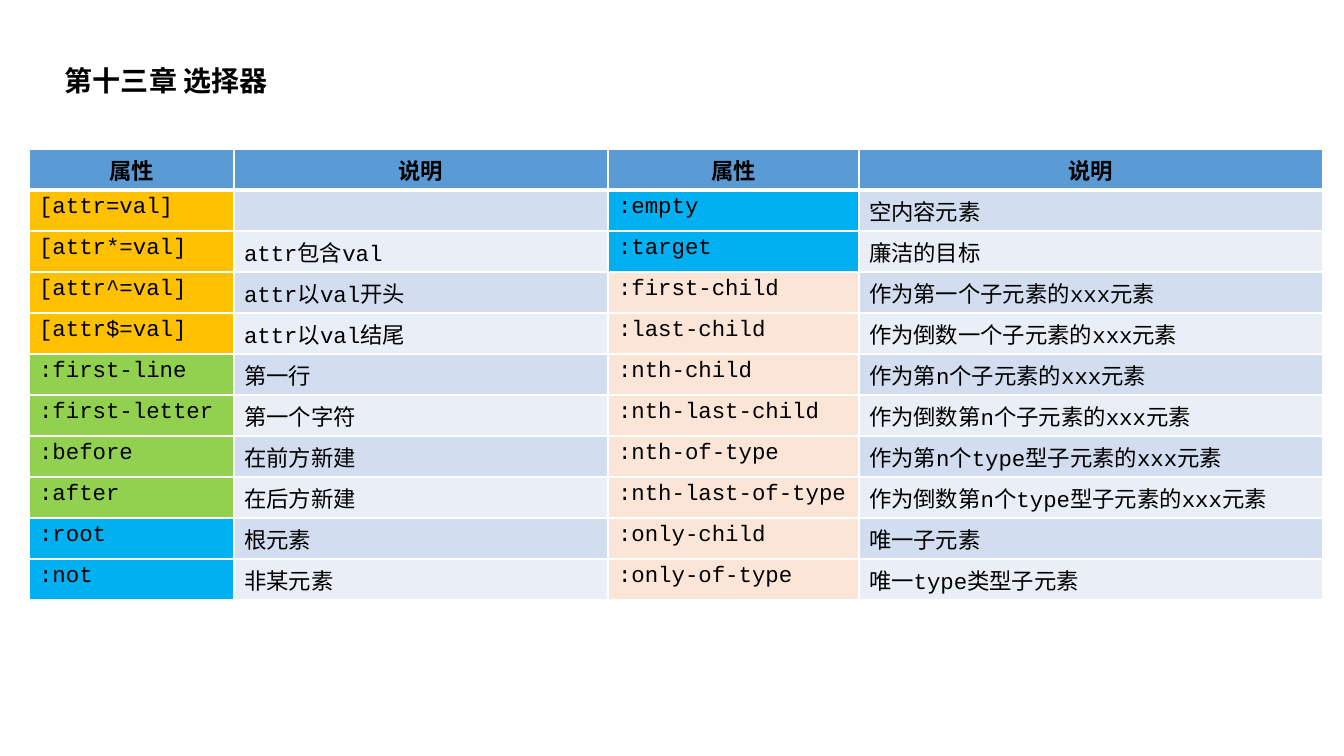
from lxml.etree import SubElement
from pptx import Presentation
from pptx.dml.color import RGBColor
from pptx.enum.text import MSO_AUTO_SIZE, PP_ALIGN
from pptx.oxml.ns import qn
from pptx.util import Emu, Pt

EMU_PER_PIXEL = 914400 / 100.8
BLACK = RGBColor(0x00, 0x00, 0x00)
HEADER_BLUE = RGBColor(0x5B, 0x9B, 0xD5)
BANDS = [RGBColor(0xD2, 0xDE, 0xEF), RGBColor(0xEA, 0xEF, 0xF7)]
ORANGE = RGBColor(0xFF, 0xC0, 0x00)
GREEN = RGBColor(0x92, 0xD0, 0x50)
SKY = RGBColor(0x00, 0xB0, 0xF0)
PEACH = RGBColor(0xFB, 0xE5, 0xD6)
CHINESE_FONT = "Noto Sans CJK SC"
CODE_FONT = "Courier New"

HEADER = ("属性", "说明", "属性", "说明")
SELECTORS = [
    ("[attr=val]", "", ":empty", "空内容元素"),
    ("[attr*=val]", "attr包含val", ":target", "廉洁的目标"),
    ("[attr^=val]", "attr以val开头", ":first-child", "作为第一个子元素的xxx元素"),
    ("[attr$=val]", "attr以val结尾", ":last-child", "作为倒数一个子元素的xxx元素"),
    (":first-line", "第一行", ":nth-child", "作为第n个子元素的xxx元素"),
    (":first-letter", "第一个字符", ":nth-last-child", "作为倒数第n个子元素的xxx元素"),
    (":before", "在前方新建", ":nth-of-type", "作为第n个type型子元素的xxx元素"),
    (":after", "在后方新建", ":nth-last-of-type", "作为倒数第n个type型子元素的xxx元素"),
    (":root", "根元素", ":only-child", "唯一子元素"),
    (":not", "非某元素", ":only-of-type", "唯一type类型子元素"),
]
# Selector groups, from top to bottom
LEFT_GROUPS = [ORANGE] * 4 + [GREEN] * 4 + [SKY] * 2
RIGHT_GROUPS = [SKY] * 2 + [PEACH] * 8
COLUMN_WIDTHS = [205, 374, 251, 464]
ROW_HEIGHT = 41


def px(pixels):
    return Emu(round(pixels * EMU_PER_PIXEL))


def style_text(paragraph, size, bold, latin_font):
    for run in paragraph.runs:
        run.font.size = Pt(size)
        run.font.bold = bold
        run.font.color.rgb = BLACK
        run.font.name = latin_font
        SubElement(run.font._element, qn("a:ea"), typeface=CHINESE_FONT)


presentation = Presentation()
presentation.slide_width, presentation.slide_height = px(1344), px(756)
slide = presentation.slides.add_slide(presentation.slide_layouts[6])

# Chapter title
chapter = slide.shapes.add_textbox(px(55), px(59), px(226), px(44)).text_frame
chapter.word_wrap = False
chapter.auto_size = MSO_AUTO_SIZE.SHAPE_TO_FIT_TEXT
chapter.text = "第十三章 选择器"
style_text(chapter.paragraphs[0], 20, True, CHINESE_FONT)

# Selector table
rows = [HEADER] + SELECTORS
selector_table = slide.shapes.add_table(
    len(rows), len(HEADER), px(29), px(149),
    px(sum(COLUMN_WIDTHS)), px(ROW_HEIGHT * len(rows))).table
for column, width in zip(selector_table.columns, COLUMN_WIDTHS):
    column.width = px(width)

for r, row in enumerate(rows):
    selector_table.rows[r].height = px(ROW_HEIGHT)
    if r == 0:
        fills = [HEADER_BLUE] * 4
    else:
        band = BANDS[(r - 1) % 2]
        fills = [LEFT_GROUPS[r - 1], band, RIGHT_GROUPS[r - 1], band]
    for c, (wording, fill) in enumerate(zip(row, fills)):
        cell = selector_table.cell(r, c)
        cell.text = wording
        paragraph = cell.text_frame.paragraphs[0]
        paragraph.alignment = PP_ALIGN.CENTER if r == 0 else PP_ALIGN.LEFT
        style_text(paragraph, 16, r == 0, CODE_FONT)

        # White grid, thicker below the header
        for side in ("lnL", "lnR", "lnT", "lnB"):
            under_header = (r, side) in ((0, "lnB"), (1, "lnT"))
            border = SubElement(cell._tc.get_or_add_tcPr(), qn(f"a:{side}"),
                                w=str(Pt(3 if under_header else 1)))
            SubElement(SubElement(border, qn("a:solidFill")),
                       qn("a:srgbClr"), val="FFFFFF")
        cell.fill.solid()
        cell.fill.fore_color.rgb = fill

presentation.save("out.pptx")
